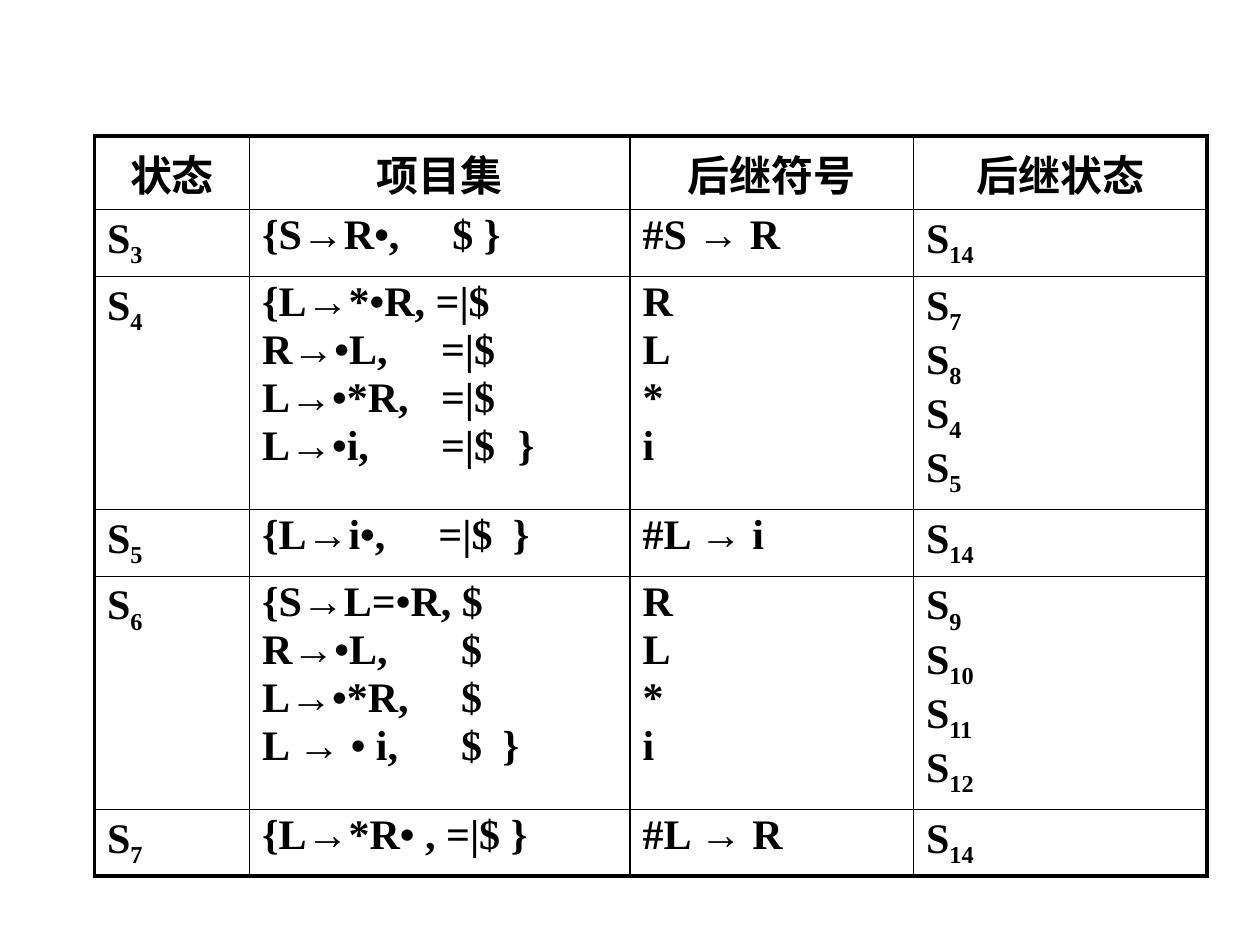
"""Build a slide with a table of LR parser states."""
from dataclasses import dataclass

from lxml import etree
from pptx import Presentation
from pptx.dml.color import RGBColor
from pptx.enum.text import PP_ALIGN
from pptx.oxml.ns import qn
from pptx.util import Emu, Inches, Pt

CENTER, LEFT = PP_ALIGN.CENTER, PP_ALIGN.LEFT


@dataclass(frozen=True)
class Theme:
    """Hold the colours, type sizes and line widths."""
    ink: str = "000000"
    font: str = "Times New Roman"
    size: float = 24
    gap: float = 3.6
    line_spacing: float = 0.9
    subscript: str = "-25000"
    inner: float = 1
    outer: float = 2.25


THEME = Theme()
WIDTH, HEIGHT = Inches(10), Inches(7.5)
TABLE_LEFT, TABLE_TOP = 0.075, 0.144
COLUMN_SHARES = (0.123, 0.302, 0.225, 0.233)
HEADER_HEIGHT, FIRST_LINE, NEXT_LINE = Inches(0.5), Inches(0.53), Inches(0.44)

HEADERS = ("状态", "项目集", "后继符号", "后继状态")
# Each state: name, items, next symbols, next states, tab stops of the items.
STATES = (
    ("S_3", ["{S→R•,\t$ }"], ["#S → R"], ["S_14"], (1.51,)),
    ("S_4", ["{L→*•R, =|$", "R→•L,\t=|$", "L→•*R,\t=|$", "L→•i,\t=|$\t}"],
     ["R", "L", "*", "i"], ["S_7", "S_8", "S_4", "S_5"], (1.42, 2.03)),
    ("S_5", ["{L→i•,\t=|$\t}"], ["#L → i"], ["S_14"], (1.4, 1.99)),
    ("S_6", ["{S→L=•R, $", "R→•L,\t$", "L→•*R,\t$", "L → • i,\t$\t}"],
     ["R", "L", "*", "i"], ["S_9", "S_10", "S_11", "S_12"], (1.58, 1.91)),
    ("S_7", ["{L→*R• , =|$ }"], ["#L → R"], ["S_14"], ()),
)


def set_values(target, values):
    """Set attributes of an object from a dict."""
    for name, value in values.items():
        setattr(target, name, value)


def add_span(para, text, subscript=False):
    """Add one run of text, lowered if it is a subscript."""
    span = para.add_run()
    span.text = text
    set_values(span.font, {"name": THEME.font, "size": Pt(THEME.size), "bold": True})
    span.font.color.rgb = RGBColor.from_string(THEME.ink)
    if subscript:
        span.font._element.set("baseline", THEME.subscript)


def add_tab_stops(para, stops):
    """Give a paragraph left tab stops at lengths in inches."""
    tabs = etree.SubElement(para._p.get_or_add_pPr(), qn("a:tabLst"))
    for stop in stops:
        etree.SubElement(tabs, qn("a:tab"), pos=str(Inches(stop)), algn="l")


def fill_cell(cell, lines, para_format, stops=()):
    """Write lines into a cell, with subscripts after an underscore."""
    frame = cell.text_frame
    for index, line in enumerate(lines):
        para = frame.add_paragraph() if index else frame.paragraphs[0]
        if "\t" in line:
            add_tab_stops(para, stops)
        set_values(para, para_format)
        para.space_before = Pt(THEME.gap if index else 0)
        base, _, subscript = line.partition("_")
        add_span(para, base)
        if subscript:
            add_span(para, subscript, subscript=True)


def draw_borders(cell, outer_sides):
    """Rule the four sides of a cell, heavier on the table's edge."""
    properties = cell._tc.get_or_add_tcPr()
    for side, is_outer in outer_sides.items():
        width = Pt(THEME.outer if is_outer else THEME.inner)
        line = etree.SubElement(properties, qn(f"a:ln{side}"), w=str(width))
        fill = etree.SubElement(line, qn("a:solidFill"))
        etree.SubElement(fill, qn("a:srgbClr"), val=THEME.ink)
    cell.fill.background()


def add_state_table(page):
    """Add the empty, ruled table and return it."""
    widths = [Emu(int(WIDTH * share)) for share in COLUMN_SHARES]
    heights = [HEADER_HEIGHT] + [
        Emu(FIRST_LINE + NEXT_LINE * (len(items) - 1)) for _, items, *_ in STATES]
    last_row, last_column = len(heights) - 1, len(widths) - 1
    table = page.shapes.add_table(
        len(heights), len(widths), int(WIDTH * TABLE_LEFT), int(HEIGHT * TABLE_TOP),
        sum(widths), sum(heights)).table
    set_values(table, {"first_row": False, "horz_banding": False})
    for column, width in zip(table.columns, widths):
        column.width = width
    for row_index, (row, height) in enumerate(zip(table.rows, heights)):
        row.height = height
        for column_index, cell in enumerate(row.cells):
            draw_borders(cell, {
                "L": column_index == 0, "R": column_index == last_column,
                "T": row_index == 0, "B": row_index == last_row})
    return table


def main():
    """Build and save the deck."""
    deck = Presentation()
    set_values(deck, {"slide_width": WIDTH, "slide_height": HEIGHT})
    page = deck.slides.add_slide(deck.slide_layouts[6])
    table = add_state_table(page)
    for column, header in enumerate(HEADERS):
        fill_cell(table.cell(0, column), [header], {"alignment": CENTER})
    body = {"alignment": LEFT, "line_spacing": THEME.line_spacing}
    for row, (name, items, symbols, targets, stops) in enumerate(STATES, 1):
        for column, lines in enumerate(([name], items, symbols, targets)):
            fill_cell(table.cell(row, column), lines, body, stops)
    deck.save("out.pptx")


if __name__ == "__main__":
    main()
